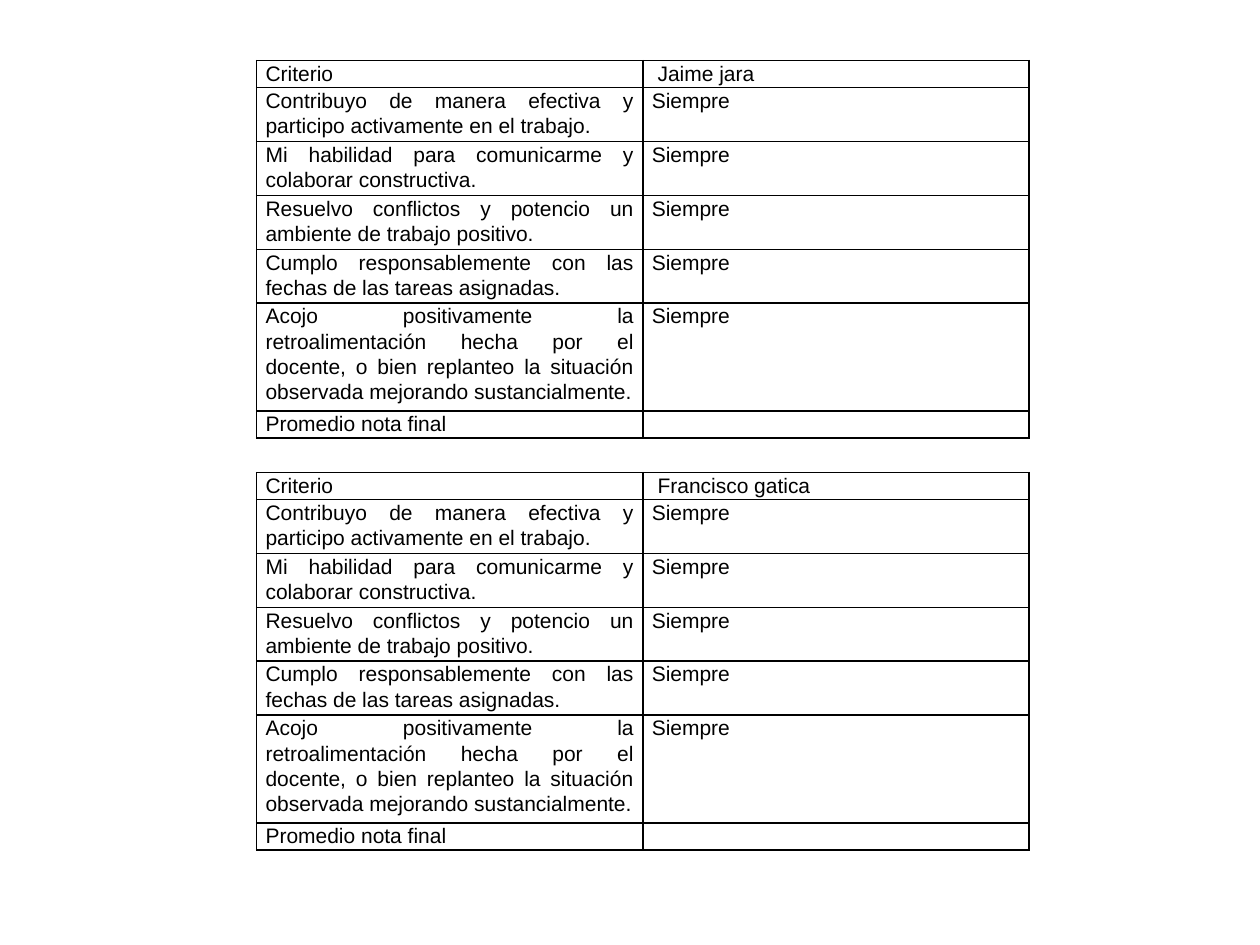
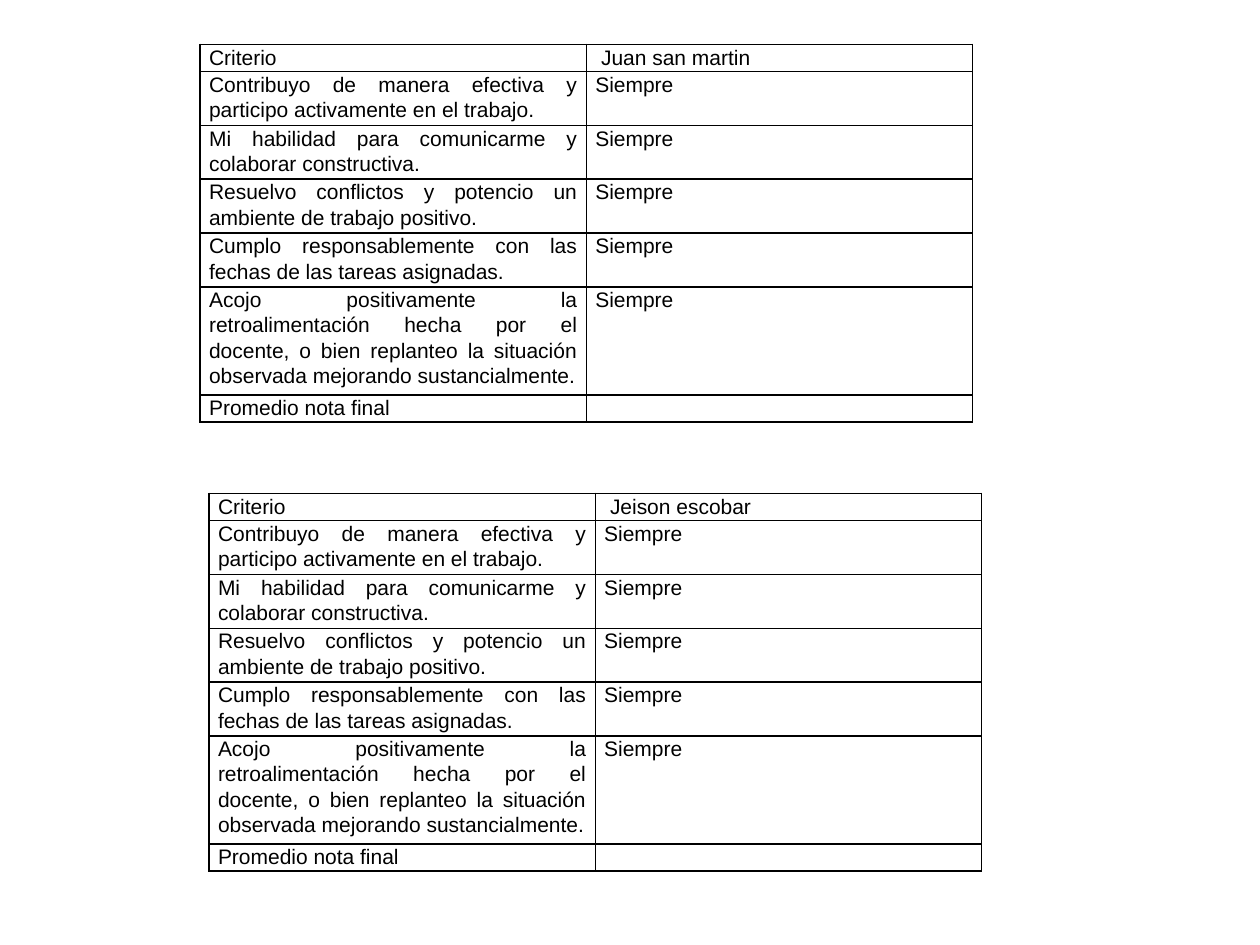
"""Build two slides of self-assessment tables, one table per team member."""
from dataclasses import dataclass

import pptx
import pptx.dml.color
import pptx.enum.text
import pptx.oxml.ns
import pptx.slide
import pptx.table
import pptx.util
from lxml import etree

Pt = pptx.util.Pt
qn = pptx.oxml.ns.qn


@dataclass(frozen=True)
class Theme:
    font: str = "Arial"
    size: float = 12
    ink: str = "000000"
    border: float = 1
    line_spacing: float = 1.07
    space_after: float = 8
    inset: float = 5.1
    name_inset: float = 8.4
    col_width: float = 220.7
    line_height: float = 15.42


@dataclass(frozen=True)
class Criterion:
    text: str
    answer: str
    lines: int


@dataclass(frozen=True)
class Assessment:
    member: str
    left: float
    top: float


THEME = Theme()
CRITERIA = [
    Criterion("Contribuyo de manera efectiva y participo activamente en el trabajo.", "Siempre", 2),
    Criterion("Mi habilidad para comunicarme y colaborar constructiva.", "Siempre", 2),
    Criterion("Resuelvo conflictos y potencio un ambiente de trabajo positivo.", "Siempre", 2),
    Criterion("Cumplo responsablemente con las fechas de las tareas asignadas.", "Siempre", 2),
    Criterion(
        "Acojo positivamente la retroalimentación hecha por el docente, "
        "o bien replanteo la situación observada mejorando sustancialmente.",
        "Siempre", 4,
    ),
    Criterion("Promedio nota final", "", 1),
]
SLIDES = [
    [Assessment("Jaime jara", 146.7, 34.6), Assessment("Francisco gatica", 146.7, 270)],
    [Assessment("Jeison escobar", 119.5, 282), Assessment("Juan san martin", 114.4, 25.4)],
]


def add_borders(cell: pptx.table._Cell) -> None:
    tcPr = cell._tc.get_or_add_tcPr()
    for side in ("a:lnL", "a:lnR", "a:lnT", "a:lnB"):
        ln = etree.SubElement(tcPr, qn(side), w=str(Pt(THEME.border)))
        fill = etree.SubElement(ln, qn("a:solidFill"))
        etree.SubElement(fill, qn("a:srgbClr"), val=THEME.ink)


def format_cell(cell: pptx.table._Cell, text: str, left_inset: float) -> None:
    cell.margin_left, cell.margin_right = Pt(left_inset), Pt(THEME.inset)
    cell.margin_top = cell.margin_bottom = Pt(0)
    add_borders(cell)
    cell.fill.background()
    p = cell.text_frame.paragraphs[0]
    p.text = text
    p.alignment = pptx.enum.text.PP_ALIGN.JUSTIFY
    p.line_spacing = THEME.line_spacing
    p.space_after = Pt(THEME.space_after)
    for r in p.runs:
        r.font.name = THEME.font
        r.font.size = Pt(THEME.size)
        r.font.color.rgb = pptx.dml.color.RGBColor.from_string(THEME.ink)
    etree.SubElement(p._p, qn("a:endParaRPr"), sz=str(int(THEME.size * 100)))


def add_assessment(s: pptx.slide.Slide, assessment: Assessment) -> None:
    rows = [Criterion("Criterio", assessment.member, 1), *CRITERIA]
    height = THEME.line_height * sum(row.lines for row in rows)
    table = s.shapes.add_table(
        len(rows), 2, Pt(assessment.left), Pt(assessment.top),
        Pt(2 * THEME.col_width), Pt(height),
    ).table
    table.first_row = table.horz_banding = False
    for i, row in enumerate(rows):
        table.rows[i].height = Pt(row.lines * THEME.line_height)
        format_cell(table.cell(i, 0), row.text, THEME.inset)
        format_cell(table.cell(i, 1), row.answer, THEME.inset if i else THEME.name_inset)


def main() -> None:
    prs = pptx.Presentation()
    prs.slide_width, prs.slide_height = Pt(720), Pt(540)
    for assessments in SLIDES:
        s = prs.slides.add_slide(prs.slide_layouts[6])
        for assessment in assessments:
            add_assessment(s, assessment)
    prs.save("out.pptx")


if __name__ == "__main__":
    main()
